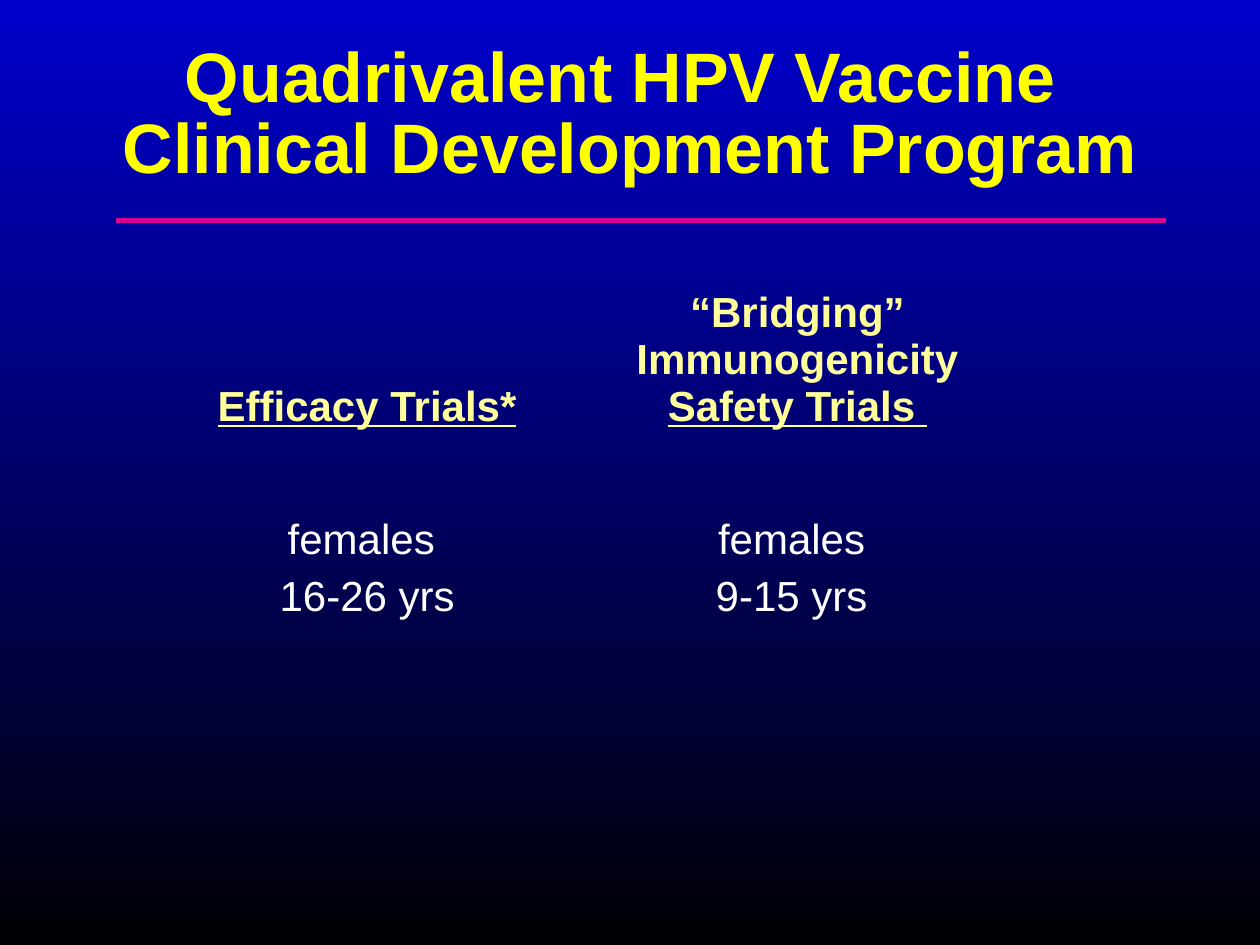
from lxml import etree
from pptx import Presentation
from pptx.dml.color import RGBColor
from pptx.enum.shapes import MSO_CONNECTOR as Connector
from pptx.enum.text import MSO_ANCHOR as Anchor, PP_ALIGN as Align
from pptx.oxml.ns import qn
from pptx.util import Cm, Pt

PLAIN_TABLE = "{2D5ABB26-0587-4C30-8999-92F81FD0307C}"


def color(value):
    """Turn a hex string into a colour."""
    return RGBColor.from_string(value)


def write(frame, text, size=24, fill="FFFFFF", bold=False, underline=False,
          before=0, spacing=None, first=False):
    """Write one centred paragraph into a text frame."""
    para = frame.paragraphs[0] if first else frame.add_paragraph()
    para.alignment = Align.CENTER
    para.space_before = Pt(before)
    if spacing:
        para.line_spacing = spacing
    para.text = text
    for span in para.runs:
        font = span.font
        font.name, font.size = "Arial", Pt(size)
        font.bold, font.underline = bold, underline
        font.color.rgb = color(fill)


def paint_background(page, top, bottom):
    """Fill the page with a vertical gradient."""
    fill = page.background.fill
    fill.gradient()
    fill.gradient_angle = 270
    for stop, value in zip(fill.gradient_stops, (top, bottom)):
        stop.color.rgb = color(value)


def add_title(page, left, top, width, height):
    """Place the title and the rule below it."""
    box = page.shapes.add_textbox(Cm(left), Cm(top), Cm(width), Cm(height))
    frame = box.text_frame
    frame.word_wrap = True
    frame.vertical_anchor = Anchor.MIDDLE
    write(frame, "Quadrivalent HPV Vaccine \vClinical Development Program",
          size=40, fill="FFFF00", bold=True, spacing=0.85, first=True)
    level = Cm(top + height + 0.51)
    rule = page.shapes.add_connector(
        Connector.STRAIGHT, Cm(left + 2.34), level, Cm(left + 23.5), level)
    rule.line.color.rgb = color("D60093")
    rule.line.width = Pt(3)
    etree.SubElement(rule._element.spPr, qn("a:effectLst"))


def add_trials(page, left, top, widths, heights):
    """Place the table of trial types and their participants."""
    trials = [
        (["Efficacy Trials*"], ["females ", "16-26 yrs"]),
        (["“Bridging” Immunogenicity", "Safety Trials "],
         ["females ", "9-15 yrs "]),
    ]
    table = page.shapes.add_table(
        len(heights), len(widths), Cm(left), Cm(top),
        Cm(sum(widths)), Cm(sum(heights))).table
    table.first_row = table.horz_banding = False
    table._tbl.tblPr.find(qn("a:tableStyleId")).text = PLAIN_TABLE
    for row, height in zip(table.rows, heights):
        row.height = Cm(height)
    for column, width in zip(table.columns, widths):
        column.width = Cm(width)
    for cell in table.iter_cells():
        cell.fill.background()

    for index, (heading, people) in enumerate(trials):
        head, body = table.cell(0, index), table.cell(1, index)
        head.vertical_anchor = Anchor.BOTTOM
        head.margin_bottom = Cm(0.47)
        body.margin_top = Cm(1.27)
        for number, text in enumerate(heading):
            write(head.text_frame, text, fill="FFFF99", bold=True,
                  underline=text == heading[-1], first=number == 0)
        for number, text in enumerate(people):
            write(body.text_frame, text, before=6 if number else 0,
                  first=number == 0)


def main():
    """Build and save the deck."""
    deck = Presentation()
    deck.slide_width, deck.slide_height = Cm(25.4), Cm(19.05)
    page = deck.slides.add_slide(deck.slide_layouts[6])
    paint_background(page, "0000CC", "000005")
    add_title(page, 0, 0.76, 25.4, 3.18)
    add_trials(page, 3.6, 3.81, [7.6, 9.75], [5.33, 5.13, 5.13])
    deck.save("out.pptx")


if __name__ == "__main__":
    main()
